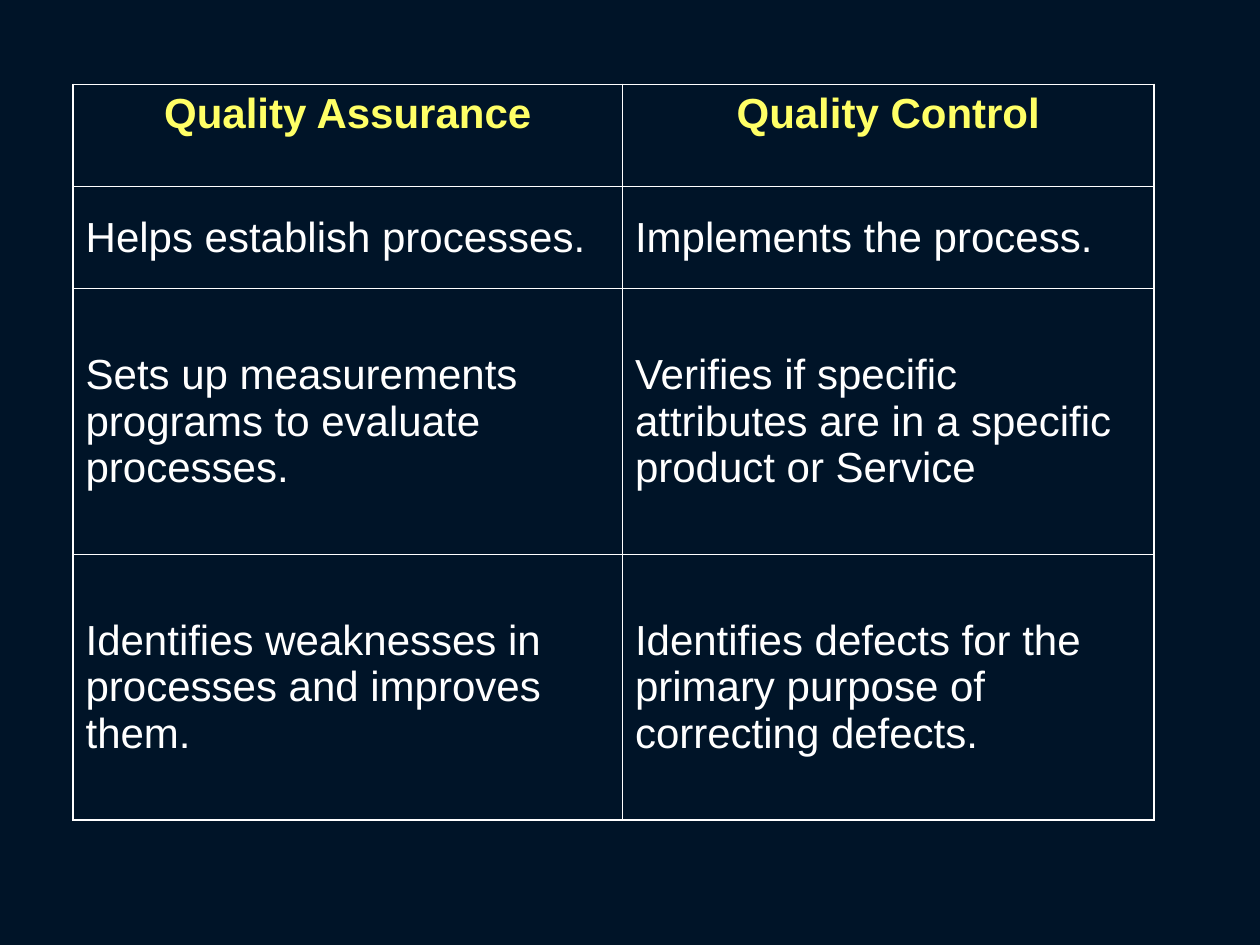
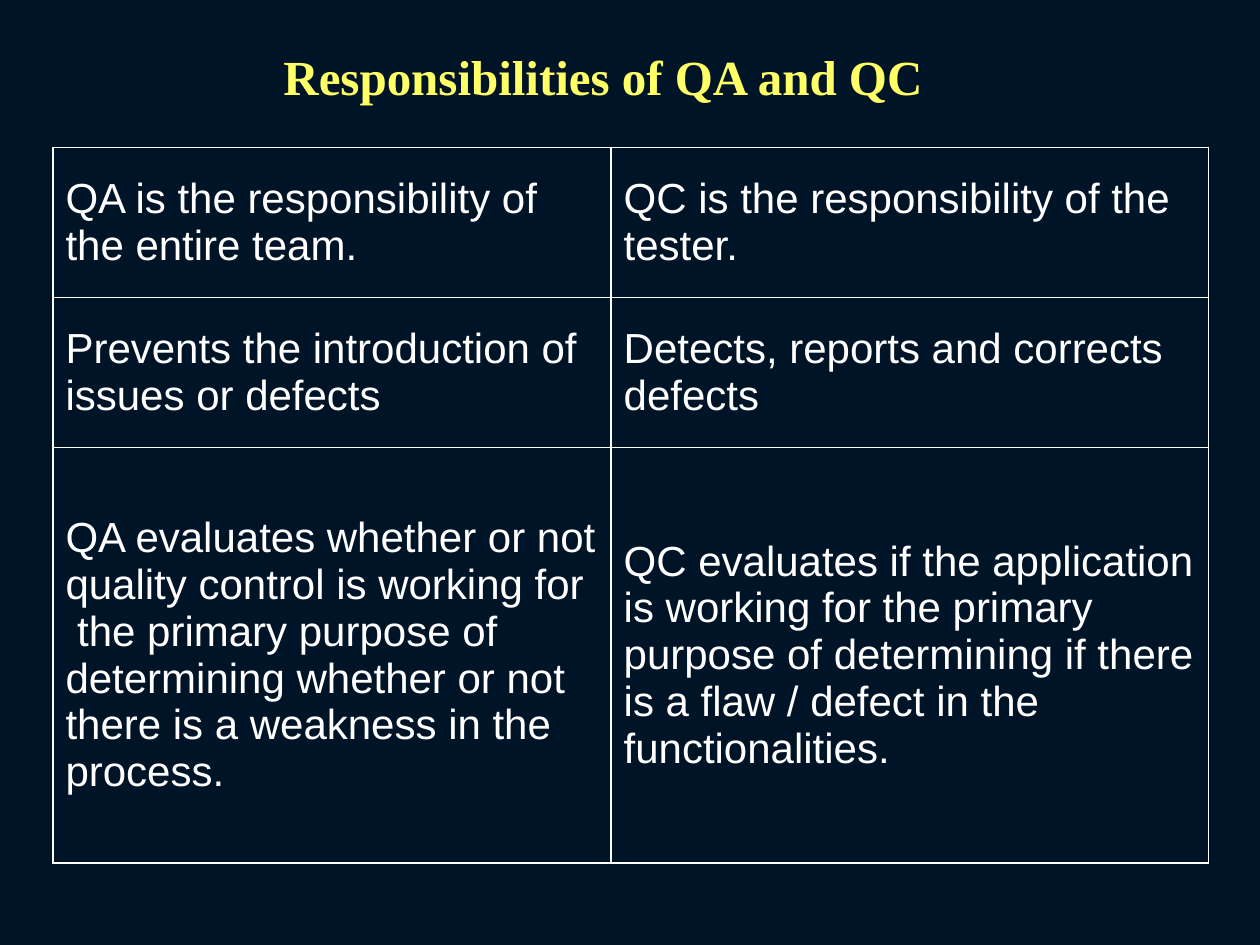
from dataclasses import dataclass

from lxml import etree
from pptx import Presentation
from pptx.dml.color import RGBColor
from pptx.enum import text as t
from pptx.oxml import ns
from pptx.slide import Slide
from pptx.table import _Cell
from pptx.text.text import _Paragraph
from pptx.util import Inches, Pt


@dataclass(frozen=True)
class Theme:
    background: str = "001428"
    accent: str = "FFFF66"
    ink: str = "FFFFFF"
    body_font: str = "Arial"
    title_font: str = "Times New Roman"
    body_size: int = 24
    title_size: int = 28
    rule_width: int = 1


@dataclass(frozen=True)
class Comparison:
    """A two-column QA/QC table; a line break in a cell starts a paragraph."""
    left: float
    top: float
    columns: tuple[float, ...]
    heights: tuple[float, ...]
    rows: tuple[tuple[str, str], ...]
    has_header: bool = False


THEME = Theme()
TITLE_ONLY, BLANK = 5, 6

DIFFERENCES = Comparison(
    0.58, 0.67, (4.36, 4.22), (0.81, 0.81, 2.11, 2.11),
    (
        ("Quality Assurance", "Quality Control"),
        ("Helps establish processes.", "Implements the process."),
        ("Sets up measurements programs to evaluate processes.",
         "Verifies if specific attributes are in a specific product or Service"),
        ("Identifies weaknesses in processes and improves them.",
         "Identifies defects for the primary purpose of correcting defects."),
    ),
    has_header=True,
)

RESPONSIBILITIES = Comparison(
    0.42, 1.17, (4.43, 4.74), (1.19, 1.19, 3.3),
    (
        ("QA is the responsibility of the entire team.",
         "QC is the responsibility of the tester."),
        ("Prevents the introduction of issues or defects",
         "Detects, reports and corrects defects"),
        ("QA evaluates whether or not quality control is working for\n"
         " the primary purpose of determining whether or not there is "
         "a weakness in the process.",
         "QC evaluates if the application is working for the primary purpose "
         "of determining if there is a flaw / defect in the functionalities."),
    ),
)


def add_run(paragraph: _Paragraph, words: str, font: str, size: int,
            color: str, bold: bool = False) -> None:
    run = paragraph.add_run()
    run.text = words
    run.font.name = font
    run.font.size = Pt(size)
    run.font.bold = bold
    run.font.color.rgb = RGBColor.from_string(color)


def rule_cell(cell: _Cell) -> None:
    """Draw a thin line on all four sides of the cell."""
    properties = cell._tc.get_or_add_tcPr()
    for side in ("a:lnL", "a:lnR", "a:lnT", "a:lnB"):
        line = etree.SubElement(properties, ns.qn(side), w=str(Pt(THEME.rule_width)))
        fill = etree.SubElement(line, ns.qn("a:solidFill"))
        etree.SubElement(fill, ns.qn("a:srgbClr"), val=THEME.ink)


def fill_cell(cell: _Cell, words: str, is_header: bool) -> None:
    rule_cell(cell)
    cell.fill.background()
    cell.vertical_anchor = t.MSO_ANCHOR.TOP if is_header else t.MSO_ANCHOR.MIDDLE
    frame = cell.text_frame
    for index, part in enumerate(words.split("\n")):
        paragraph = frame.add_paragraph() if index else frame.paragraphs[0]
        paragraph.alignment = t.PP_ALIGN.CENTER if is_header else t.PP_ALIGN.LEFT
        add_run(paragraph, part, THEME.body_font, THEME.body_size,
                THEME.accent if is_header else THEME.ink, is_header)


def add_comparison(slide: Slide, comparison: Comparison) -> None:
    table = slide.shapes.add_table(
        len(comparison.rows), len(comparison.columns),
        Inches(comparison.left), Inches(comparison.top),
        Inches(sum(comparison.columns)), Inches(sum(comparison.heights)),
    ).table
    table.first_row = comparison.has_header
    table.horz_banding = False
    for column, width in zip(table.columns, comparison.columns):
        column.width = Inches(width)
    for row, height in zip(table.rows, comparison.heights):
        row.height = Inches(height)
    for r, pair in enumerate(comparison.rows):
        for c, words in enumerate(pair):
            fill_cell(table.cell(r, c), words, comparison.has_header and r == 0)


def set_title(slide: Slide, words: str) -> None:
    title = slide.shapes.title
    title.left, title.top = Inches(2.1), Inches(0.32)
    title.width, title.height = Inches(5.37), Inches(0.57)
    frame = title.text_frame
    frame.word_wrap = False
    frame.auto_size = t.MSO_AUTO_SIZE.NONE
    frame.vertical_anchor = t.MSO_ANCHOR.TOP
    paragraph = frame.paragraphs[0]
    paragraph.alignment = t.PP_ALIGN.CENTER
    add_run(paragraph, words, THEME.title_font, THEME.title_size, THEME.accent, True)


def main() -> None:
    deck = Presentation()
    deck.slide_width, deck.slide_height = Inches(10), Inches(7.5)
    backdrop = deck.slide_master.background.fill
    backdrop.solid()
    backdrop.fore_color.rgb = RGBColor.from_string(THEME.background)

    differences = deck.slides.add_slide(deck.slide_layouts[BLANK])
    add_comparison(differences, DIFFERENCES)

    responsibilities = deck.slides.add_slide(deck.slide_layouts[TITLE_ONLY])
    set_title(responsibilities, "Responsibilities of QA and QC")
    add_comparison(responsibilities, RESPONSIBILITIES)

    deck.save("out.pptx")


if __name__ == "__main__":
    main()
